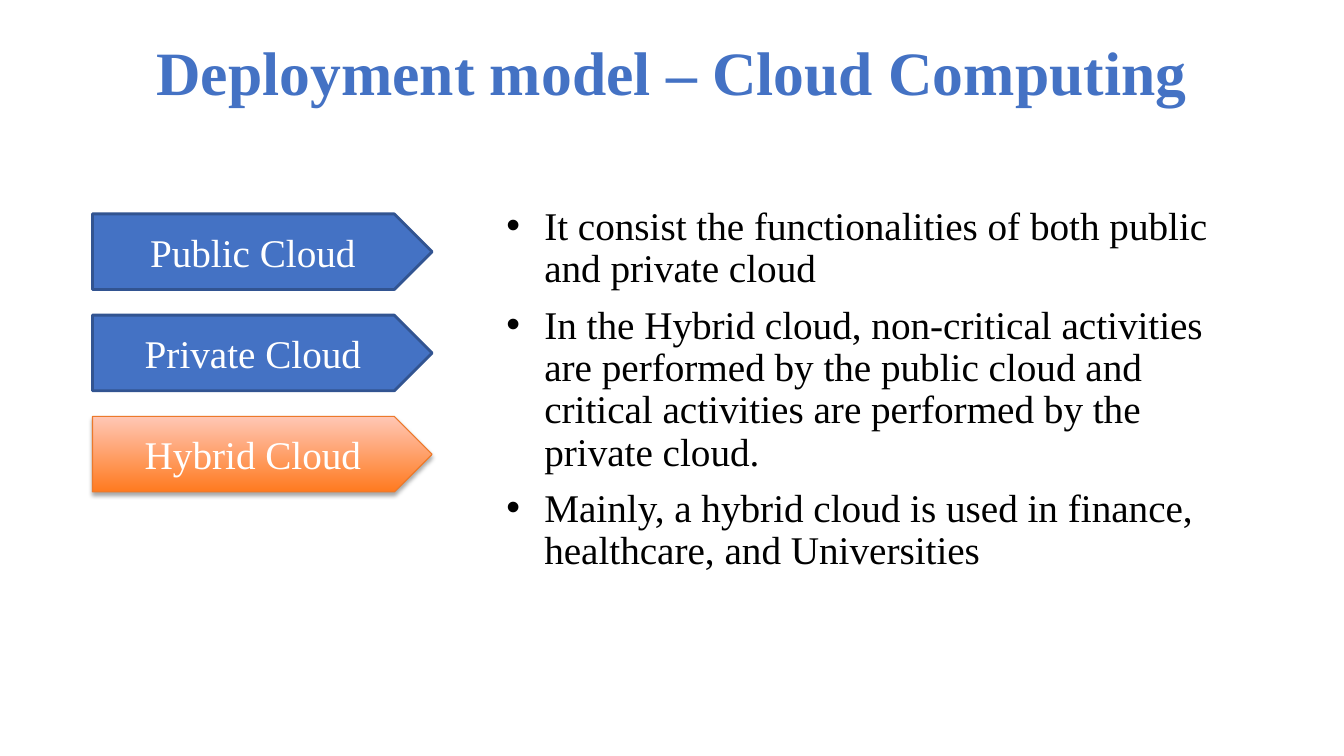
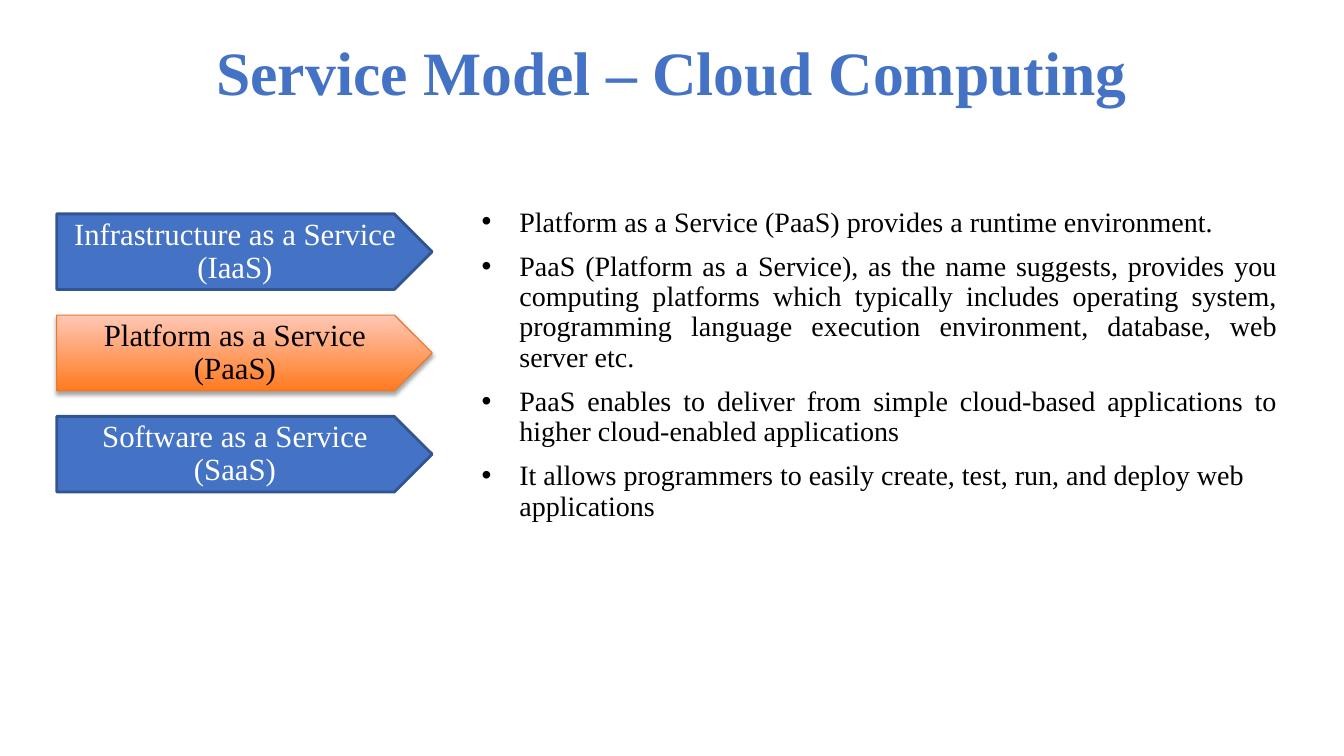
from lxml.etree import SubElement
from pptx import Presentation
from pptx.dml.color import RGBColor
from pptx.enum.shapes import MSO_SHAPE
from pptx.enum.text import MSO_ANCHOR, PP_ALIGN
from pptx.oxml.ns import qn
from pptx.util import Pt

FONT = "Times New Roman"
COLORS = {
    "blue": "4472C4", "navy": "325491", "orange": "FF7A1F", "peach": "FFC7B6",
    "rust": "EC792B", "black": "000000", "white": "FFFFFF",
}
TOP, STEP, HEIGHT = 152.8, 72.3, 54  # column of arrows

SLIDES = [
    {
        "title": "Deployment model – Cloud Computing",
        "left": 66.1, "width": 242.6, "size": 28, "leading": 1.0,
        "arrows": ["Public Cloud", "Private Cloud", "Hybrid Cloud"],
        "active": 2, "active_ink": "white",
        "body": (345.7, 144, 548.6, 342.7), "body_size": 28,
        "points": [
            ("It consist the functionalities of both public and private cloud", PP_ALIGN.LEFT),
            ("In the Hybrid cloud, non-critical activities are performed by the public "
             "cloud and critical activities are performed by the private cloud.", PP_ALIGN.LEFT),
            ("Mainly, a hybrid cloud is used in finance, healthcare, and Universities",
             PP_ALIGN.LEFT),
        ],
    },
    {
        "title": "Service Model – Cloud Computing",
        "left": 40.5, "width": 268.2, "size": 22, "leading": 0.9,
        "arrows": ["Infrastructure as a Service (IaaS)", "Platform as a Service (PaaS)",
                   "Software as a Service (SaaS)"],
        "active": 1, "active_ink": "black",
        "body": (327.9, 145, 591.6, 342.7), "body_size": 20,
        "points": [
            ("Platform as a Service (PaaS) provides a runtime environment.", PP_ALIGN.JUSTIFY),
            ("PaaS (Platform as a Service), as the name suggests, provides you computing "
             "platforms which typically includes operating system, programming language "
             "execution environment, database, web server etc.", PP_ALIGN.JUSTIFY),
            ("PaaS enables to deliver from simple cloud-based applications to higher "
             "cloud-enabled applications", PP_ALIGN.JUSTIFY),
            ("It allows programmers to easily create, test, run, and deploy web applications",
             PP_ALIGN.LEFT),
        ],
    },
]


def color(name):
    return RGBColor.from_string(COLORS[name])


def style(para, text, size, ink, align, leading=0.9):
    para.text = text
    para.alignment = align
    para.line_spacing = leading
    para.font.name = FONT
    para.font.size = Pt(size)
    para.font.color.rgb = color(ink)


deck = Presentation()
deck.slide_width, deck.slide_height = Pt(960), Pt(540)

for data in SLIDES:
    slide = deck.slides.add_slide(deck.slide_layouts[6])

    title = slide.shapes.add_textbox(Pt(0), Pt(1.4), Pt(960), Pt(104.4)).text_frame
    title.word_wrap = True
    title.vertical_anchor = MSO_ANCHOR.MIDDLE
    para = title.paragraphs[0]
    style(para, data["title"], 44, "blue", PP_ALIGN.CENTER)
    para.font.bold = True

    body = slide.shapes.add_textbox(*map(Pt, data["body"])).text_frame
    body.word_wrap = True
    for row, (text, align) in enumerate(data["points"]):
        para = body.add_paragraph() if row else body.paragraphs[0]
        style(para, text, data["body_size"], "black", align)
        para.space_before = Pt(10)
        props = para._p.get_or_add_pPr()
        props.set("marL", str(Pt(36)))
        props.set("indent", str(-Pt(27)))
        SubElement(props, qn("a:buFont"), typeface="Arial")
        SubElement(props, qn("a:buChar"), char="•")

    for row, text in enumerate(data["arrows"]):
        active = row == data["active"]
        arrow = slide.shapes.add_shape(
            MSO_SHAPE.PENTAGON, Pt(data["left"]), Pt(TOP + row * STEP),
            Pt(data["width"]), Pt(HEIGHT))
        arrow.shadow.inherit = False
        arrow.line.color.rgb = color("rust" if active else "navy")
        arrow.line.width = Pt(0.75 if active else 2)
        if active:
            arrow.fill.gradient()
            arrow.fill.gradient_angle = 90
            for stop, name in zip(arrow.fill.gradient_stops, ("orange", "peach")):
                stop.color.rgb = color(name)
            effects = arrow._element.spPr.find(qn("a:effectLst"))
            shadow = SubElement(effects, qn("a:outerShdw"), blurRad=str(Pt(3.1)),
                                dist=str(Pt(1.8)), dir="5400000", rotWithShape="0")
            tint = SubElement(shadow, qn("a:srgbClr"), val=COLORS["black"])
            SubElement(tint, qn("a:alpha"), val="35000")
        else:
            arrow.fill.solid()
            arrow.fill.fore_color.rgb = color("blue")
        frame = arrow.text_frame
        frame.word_wrap = True
        frame.vertical_anchor = MSO_ANCHOR.MIDDLE
        style(frame.paragraphs[0], text, data["size"],
              data["active_ink"] if active else "white", PP_ALIGN.CENTER, data["leading"])

deck.save("out.pptx")
